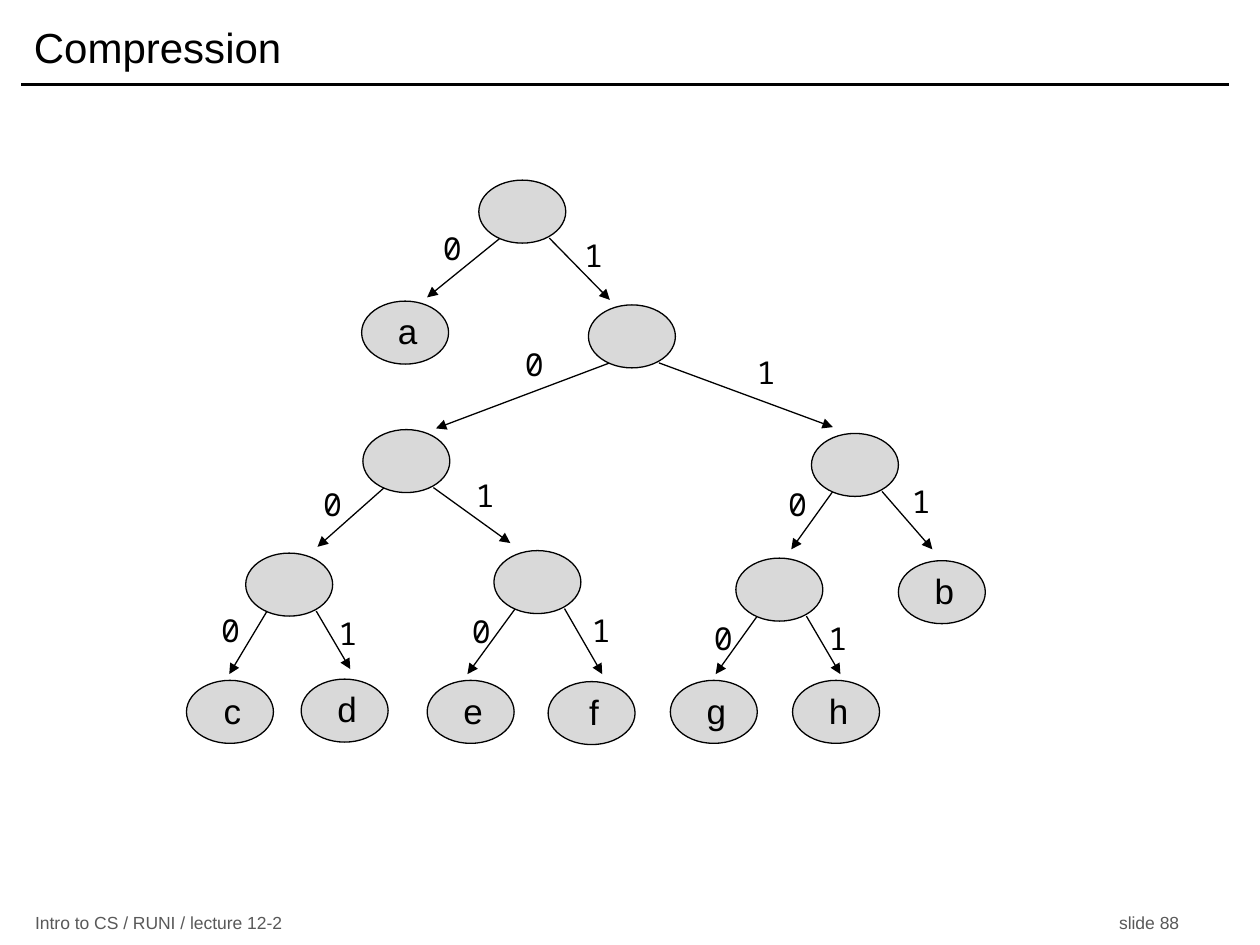
from dataclasses import dataclass

from lxml.etree import SubElement
from pptx import Presentation
from pptx.dml.color import RGBColor
from pptx.enum.shapes import MSO_CONNECTOR as Connector, MSO_SHAPE as Preset
from pptx.enum.text import MSO_ANCHOR as Anchor, PP_ALIGN as Align
from pptx.oxml.ns import qn
from pptx.util import Emu, Inches, Pt


@dataclass(frozen=True)
class Theme:
    ink: RGBColor = RGBColor(0, 0, 0)
    node_fill: RGBColor = RGBColor(0xD9, 0xD9, 0xD9)
    footer_ink: RGBColor = RGBColor(0x59, 0x59, 0x59)
    text_face: str = "Arial"
    bit_face: str = "Noto Sans Mono"
    title_size: float = 24
    letter_size: float = 20
    bit_size: float = 18
    footer_size: float = 10
    rule_width: float = 2
    edge_width: float = 0.75


@dataclass(frozen=True)
class Point:
    """A place on the grid: columns across, rows down."""
    x: float
    y: float


@dataclass(frozen=True)
class Edge:
    bit: str
    tip: Point
    label: Point


@dataclass(frozen=True)
class Branch:
    corner: Point
    edges: tuple[Edge, Edge]


@dataclass(frozen=True)
class Leaf:
    letter: str
    corner: Point


def branch(corner: tuple, zero_tip: tuple, zero_label: tuple,
           one_tip: tuple, one_label: tuple) -> Branch:
    return Branch(Point(*corner), (
        Edge("0", Point(*zero_tip), Point(*zero_label)),
        Edge("1", Point(*one_tip), Point(*one_label))))


THEME = Theme()
COLUMNS, ROWS = 100, 75

# Sizes and offsets in grid units
NODE_W, NODE_H = 6.9, 5
LETTER_W, LETTER_H = 3.6, 4.4
BIT_W, BIT_H = 3.2, 4.1
EDGE_STARTS = (1.7, 5.6)
EDGE_DROP = 4.6
LETTER_SHIFT = 0.2

# Code tree
LEAVES = [
    Leaf("c", Point(14.8, 54)), Leaf("d", Point(23.9, 53.9)),
    Leaf("e", Point(33.9, 54)), Leaf("f", Point(43.5, 54.1)),
    Leaf("g", Point(53.2, 54)), Leaf("h", Point(62.9, 54)),
    Leaf("a", Point(28.7, 23.9)), Leaf("b", Point(71.3, 44.5)),
]
BRANCHES = [
    branch((58.4, 44.3), (56.8, 53.5), (55.8, 48.6), (66.7, 53.5), (64.9, 48.6)),
    branch((19.5, 43.9), (18.2, 53.5), (16.7, 48), (27.8, 53.1), (26, 48.2)),
    branch((39.2, 43.7), (37.1, 53.5), (36.6, 48.1), (47.8, 53.5), (46.1, 48)),
    branch((64.4, 34.4), (62.8, 43.6), (61.7, 38), (74, 43.6), (71.5, 37.8)),
    branch((28.8, 34.1), (25.2, 43.4), (24.8, 38), (40.5, 43.1), (36.9, 37.3)),
    branch((46.7, 24.2), (34.6, 34), (40.8, 26.9), (66.1, 33.9), (59.2, 27.5)),
    branch((38, 14.3), (33.9, 23.6), (34.3, 17.7), (48.4, 23.8), (45.5, 18.2)),
]

deck = Presentation()
deck.slide_width, deck.slide_height = Inches(10), Inches(7.5)
slide = deck.slides.add_slide(deck.slide_layouts[6])


def across(columns: float) -> Emu:
    return Emu(round(deck.slide_width * columns / COLUMNS))


def down(rows: float) -> Emu:
    return Emu(round(deck.slide_height * rows / ROWS))


def area(corner: Point, width: float, height: float) -> tuple[Emu, ...]:
    return across(corner.x), down(corner.y), across(width), down(height)


def add_text(shapes, text: str, corner: Point, width: float, height: float,
             size: float, face: str = THEME.text_face, color: RGBColor = THEME.ink,
             align: Align = Align.LEFT, anchor: Anchor = Anchor.TOP,
             side_inset: float = 1, tab: float | None = None) -> None:
    frame = shapes.add_textbox(*area(corner, width, height)).text_frame
    frame.word_wrap = True
    frame.vertical_anchor = anchor
    frame.margin_left = frame.margin_right = across(side_inset)
    paragraph = frame.paragraphs[0]
    paragraph.text = text
    paragraph.alignment = align
    if tab is not None:
        stops = SubElement(paragraph._p.get_or_add_pPr(), qn("a:tabLst"))
        SubElement(stops, qn("a:tab"), pos=str(across(tab)), algn="r")
    for run in paragraph.runs:
        run.font.size, run.font.name = Pt(size), face
        run.font.color.rgb = color


def add_line(shapes, start: Point, end: Point, width: float, arrow: bool = False) -> None:
    line = shapes.add_connector(Connector.STRAIGHT, across(start.x), down(start.y),
                                across(end.x), down(end.y))
    line.line.color.rgb, line.line.width = THEME.ink, Pt(width)
    if arrow:
        SubElement(line.line._get_or_add_ln(), qn("a:tailEnd"), type="triangle")
    SubElement(line._element.spPr, qn("a:effectLst"))


def add_node(shapes, corner: Point) -> None:
    node = shapes.add_shape(Preset.OVAL, *area(corner, NODE_W, NODE_H))
    node.shadow.inherit = False
    node.fill.solid()
    node.fill.fore_color.rgb = THEME.node_fill
    node.line.color.rgb, node.line.width = THEME.ink, Pt(THEME.edge_width)


def add_leaf(leaf: Leaf) -> None:
    shapes = slide.shapes.add_group_shape().shapes
    add_node(shapes, leaf.corner)
    letter_corner = Point(leaf.corner.x + (NODE_W - LETTER_W) / 2 + LETTER_SHIFT,
                          leaf.corner.y + LETTER_SHIFT)
    add_text(shapes, leaf.letter, letter_corner, LETTER_W, LETTER_H,
             THEME.letter_size, align=Align.CENTER)


def add_branch(fork: Branch) -> None:
    shapes = slide.shapes.add_group_shape().shapes
    for edge, offset in zip(fork.edges, EDGE_STARTS):
        start = Point(fork.corner.x + offset, fork.corner.y + EDGE_DROP)
        add_line(shapes, start, edge.tip, THEME.edge_width, arrow=True)
        add_text(shapes, edge.bit, edge.label, BIT_W, BIT_H, THEME.bit_size,
                 THEME.bit_face, align=Align.CENTER, side_inset=0)
    add_node(shapes, fork.corner)


# Header rule, footer and title
add_line(slide.shapes, Point(1.7, 6.7), Point(97.5, 6.7), THEME.rule_width)
add_text(slide.shapes, "Intro to CS / RUNI / lecture 12-2\tslide 88", Point(1.8, 72.3),
         94.2, 1.9, THEME.footer_size, color=THEME.footer_ink,
         anchor=Anchor.MIDDLE, tab=90.8)
add_text(slide.shapes, "Compression", Point(1.7, 0.8), 95.8, 5.8, THEME.title_size,
         anchor=Anchor.MIDDLE)

# Tree, leaves behind branches
for tree_leaf in LEAVES:
    add_leaf(tree_leaf)
for tree_branch in BRANCHES:
    add_branch(tree_branch)

deck.save("out.pptx")
